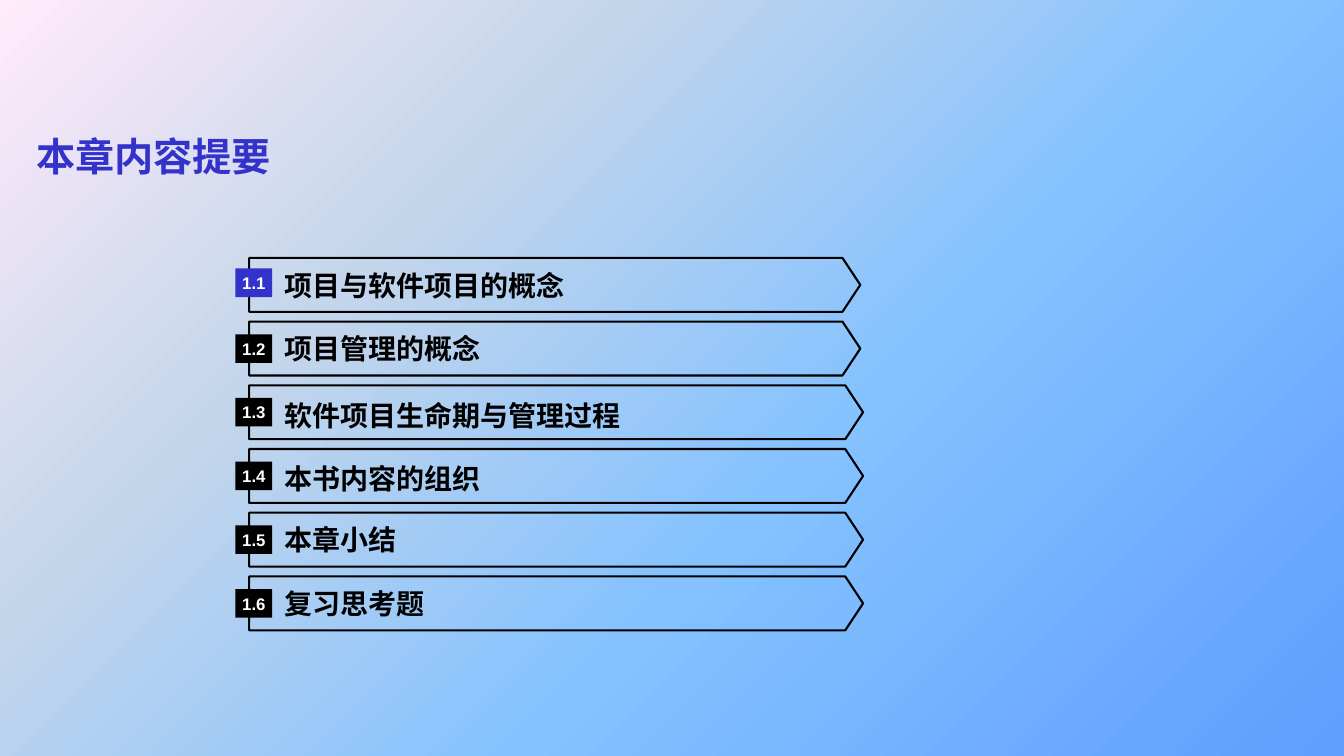
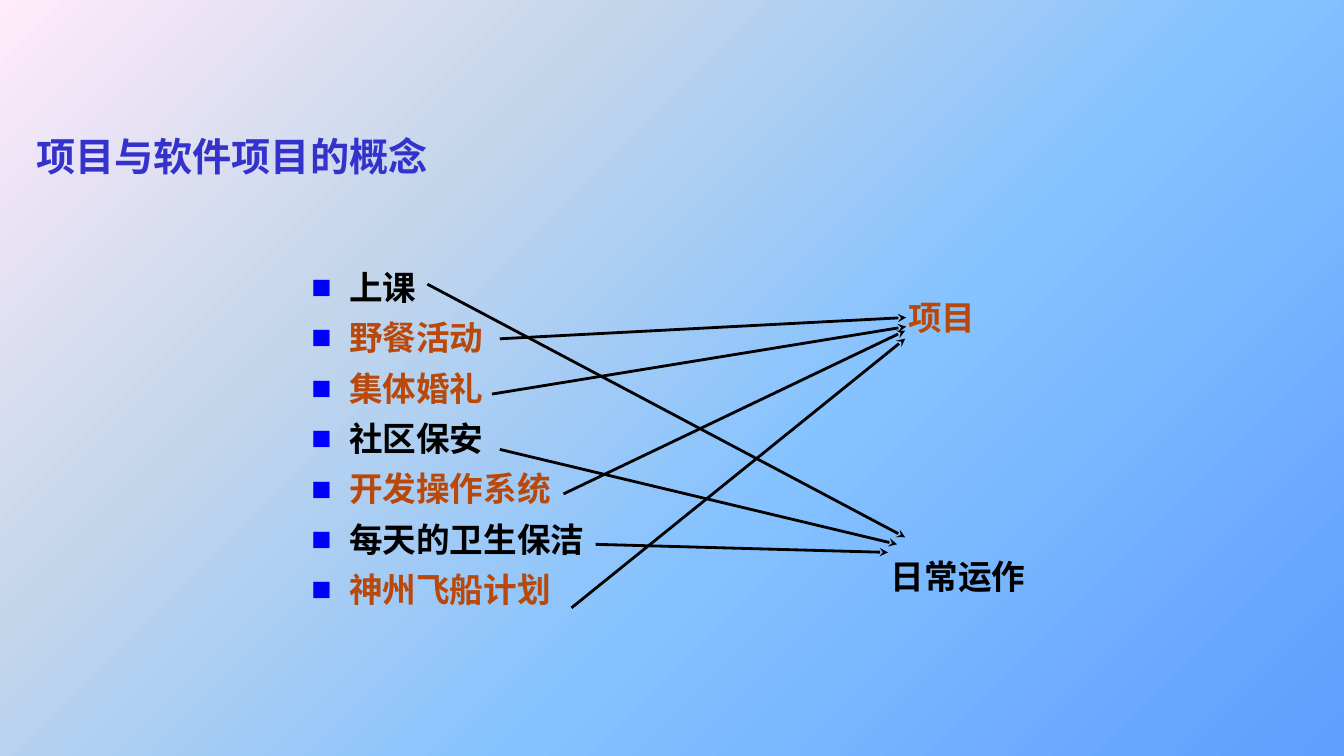
from dataclasses import dataclass

import lxml.etree
import pptx
import pptx.dml.color
import pptx.enum.shapes
import pptx.enum.text
import pptx.oxml.ns
import pptx.util

Pt = pptx.util.Pt
RGB = pptx.dml.color.RGBColor.from_string
SHAPE = pptx.enum.shapes.MSO_SHAPE
MIDDLE = pptx.enum.text.MSO_ANCHOR.MIDDLE
TOP = pptx.enum.text.MSO_ANCHOR.TOP
CENTER = pptx.enum.text.PP_ALIGN.CENTER
LEFT = pptx.enum.text.PP_ALIGN.LEFT


@dataclass(frozen=True)
class Style:
    size: float
    font: str
    color: str


@dataclass(frozen=True)
class Theme:
    width: float = 960
    height: float = 540
    black: str = "000000"
    accent: str = "3333CC"
    bullet: str = "0000FF"
    rust: str = "B9490B"
    east_asian: str = "Noto Sans CJK SC"
    backdrop: tuple = ((0, "5E9EFF"), (40, "85C2FF"), (70, "C4D6EB"), (100, "FFEBFA"))
    title: Style = Style(28, "Arial", "3333CC")
    topic: Style = Style(20, "Times New Roman", "000000")
    number: Style = Style(12, "Arial", "FFFFFF")
    activity_size: float = 24
    category_font: str = "Arial Narrow"


THEME = Theme()


@dataclass(frozen=True)
class Section:
    number: str
    topic: str
    width: float = 438.5
    topic_shift: float = 0
    number_shift: float = 0
    fill: str = THEME.black


SECTIONS = (
    Section("1.1", "项目与软件项目的概念", 436.5, number_shift=-1.5, fill=THEME.accent),
    Section("1.2", "项目管理的概念", 436.5),
    Section("1.3", "软件项目生命期与管理过程", topic_shift=2),
    Section("1.4", "本书内容的组织", topic_shift=2),
    Section("1.5", "本章小结"),
    Section("1.6", "复习思考题"),
)

# Category: colour, left edge and vertical centre
CATEGORIES = {
    "日常运作": (THEME.black, 629.3, 411.6),
    "项目": (THEME.rust, 641.5, 226.6),
}

# Activity, its category, and both ends of its arrow
ACTIVITIES = (
    ("上课", "日常运作", (305.3, 203), (646.6, 383.8)),
    ("野餐活动", "项目", (357, 242), (647.3, 226.8)),
    ("集体婚礼", "项目", (351.4, 281.5), (647.3, 233.3)),
    ("社区保安", "日常运作", (357, 321), (640.8, 388.8)),
    ("开发操作系统", "项目", (402.5, 352.8), (646.6, 236.2)),
    ("每天的卫生保洁", "日常运作", (425.5, 388.8), (634.3, 394.6)),
    ("神州飞船计划", "项目", (408.2, 434.2), (646.6, 241.9)),
)


def add_xml(parent, tag, **attributes):
    return lxml.etree.SubElement(parent, pptx.oxml.ns.qn(tag), attributes)


def paint_backdrop(master):
    """Give every slide the diagonal gradient through the master."""
    fill = master.background.fill
    fill.gradient()
    fill.gradient_angle = 135
    stops = next(master.element.iter(pptx.oxml.ns.qn("a:gsLst")))
    for stop in list(stops):
        stops.remove(stop)
    for percent, color in THEME.backdrop:
        stop = add_xml(stops, "a:gs", pos=str(percent * 1000))
        add_xml(stop, "a:srgbClr", val=color)


def add_run(paragraph, text, style):
    run = paragraph.add_run()
    run.text = text
    run.font.size = Pt(style.size)
    run.font.bold = True
    run.font.name = style.font
    run.font.color.rgb = RGB(style.color)
    add_xml(run.font._element, "a:ea", typeface=THEME.east_asian)


def set_frame(shape, anchor, inset=True):
    frame = shape.text_frame
    frame.word_wrap = True
    frame.vertical_anchor = anchor
    frame.margin_left = frame.margin_right = Pt(7.2 if inset else 0)
    frame.margin_top = frame.margin_bottom = Pt(3.6 if inset else 0)
    return frame


def add_label(slide, text, style, left, middle, width, height, inset=True):
    """Add one line of text centred vertically on middle."""
    box = slide.shapes.add_textbox(
        Pt(left), Pt(middle - height / 2), Pt(width), Pt(height))
    paragraph = set_frame(box, MIDDLE, inset).paragraphs[0]
    paragraph.alignment = LEFT
    add_run(paragraph, text, style)


def add_title(slide, text):
    add_label(slide, text, THEME.title, 18.7, 111.2, 922.5, 57)


def add_block(slide, kind, left, middle, width, height):
    block = slide.shapes.add_shape(
        kind, Pt(left), Pt(middle - height / 2), Pt(width), Pt(height))
    block.shadow.inherit = False
    return block


def add_section(slide, section, middle):
    banner = add_block(slide, SHAPE.PENTAGON, 178, middle, section.width, 38.5)
    banner.adjustments[0] = 0.33
    banner.fill.background()
    banner.line.color.rgb = RGB(THEME.black)
    banner.line.width = Pt(1.5)

    add_label(slide, section.topic, THEME.topic, 203,
              middle + section.topic_shift, 382, 28, inset=False)

    badge = add_block(slide, SHAPE.RECTANGLE, 168.2,
                      middle + section.number_shift, 26.3, 20.4)
    badge.fill.solid()
    badge.fill.fore_color.rgb = RGB(section.fill)
    badge.line.fill.background()
    paragraph = set_frame(badge, MIDDLE, inset=False).paragraphs[0]
    paragraph.alignment = CENTER
    add_run(paragraph, section.number, THEME.number)


def add_bullet(paragraph):
    properties = paragraph._p.get_or_add_pPr()
    properties.set("marL", str(Pt(27)))
    properties.set("indent", str(-Pt(27)))
    color = add_xml(properties, "a:buClr")
    add_xml(color, "a:srgbClr", val=THEME.bullet)
    add_xml(properties, "a:buFont", typeface="Arial")
    add_xml(properties, "a:buChar", char="■")


def add_activity_list(slide):
    box = slide.shapes.add_textbox(Pt(215.3), Pt(187), Pt(252), Pt(324))
    frame = set_frame(box, TOP)
    for index, (activity, category, _, _) in enumerate(ACTIVITIES):
        paragraph = frame.add_paragraph() if index else frame.paragraphs[0]
        add_bullet(paragraph)
        paragraph.line_spacing = Pt(28.8)
        paragraph.space_before = Pt(7.2 if index else 0)
        color = CATEGORIES[category][0]
        add_run(paragraph, activity,
                Style(THEME.activity_size, THEME.east_asian, color))


def add_arrow(slide, start, end):
    arrow = slide.shapes.add_connector(
        pptx.enum.shapes.MSO_CONNECTOR.STRAIGHT,
        *(Pt(value) for value in start + end))
    arrow.line.color.rgb = RGB(THEME.black)
    arrow.line.width = Pt(2)
    add_xml(arrow.line._get_or_add_ln(), "a:tailEnd", type="stealth")
    add_xml(arrow._element.spPr, "a:effectLst")


def build_outline(slide):
    add_title(slide, "本章内容提要")
    for index, section in enumerate(SECTIONS):
        add_section(slide, section, 203.5 + 45.5 * index)


def build_matching(slide):
    add_title(slide, "项目与软件项目的概念")
    for category, (color, left, middle) in CATEGORIES.items():
        style = Style(THEME.activity_size, THEME.category_font, color)
        add_label(slide, category, style, left, middle, 156, 36)
    add_activity_list(slide)
    for _, _, start, end in ACTIVITIES:
        add_arrow(slide, start, end)


def main():
    deck = pptx.Presentation()
    deck.slide_width = Pt(THEME.width)
    deck.slide_height = Pt(THEME.height)
    paint_backdrop(deck.slide_master)
    for build in (build_outline, build_matching):
        build(deck.slides.add_slide(deck.slide_layouts[6]))
    deck.save("out.pptx")


if __name__ == "__main__":
    main()
